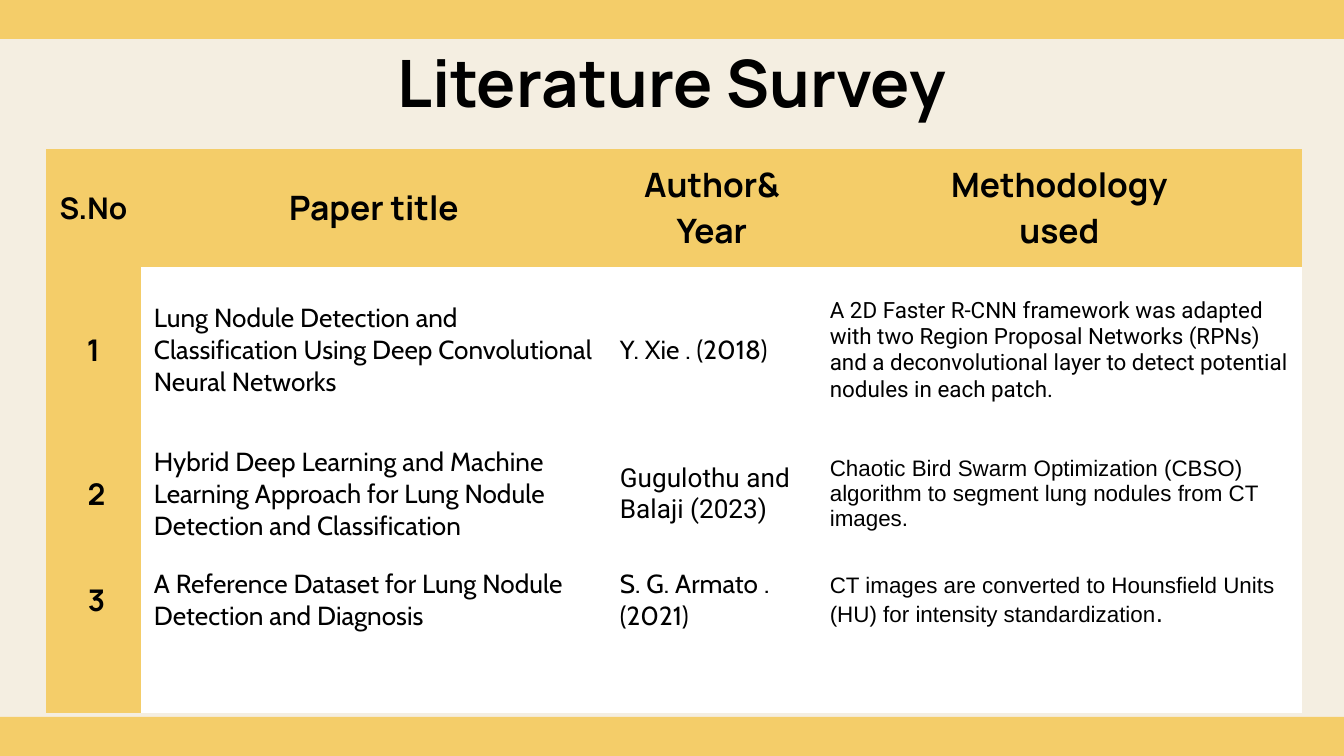
from pptx import Presentation
from pptx import util as u
from pptx.dml.color import RGBColor
from pptx.enum import shapes, text

COLORS = {"gold": "F4CD69", "cream": "F4EEE1", "white": "FFFFFF", "black": "000000"}
FONTS = {"heading": "Manrope", "body": "Cabin", "sans": "Roboto", "plain": "Arial"}
NO_GRID_STYLE = "{2D5ABB26-0587-4C30-8999-92F81FD0307C}"
MARGIN = 13


def px(length):
    return u.Emu(round(length * 914400 / 134.4))


def color(name):
    return RGBColor.from_string(COLORS[name])


def write_text(paragraph, words, font="body", size=14, bold=False, align=text.PP_ALIGN.LEFT):
    paragraph.alignment = align
    run = paragraph.add_run()
    run.text = words
    run.font.name = FONTS[font]
    run.font.size = u.Pt(size)
    run.font.bold = bold
    run.font.color.rgb = color("black")


class SlideBuilder:
    heading = {"font": "heading", "bold": True, "align": text.PP_ALIGN.CENTER}

    def __init__(self, presentation):
        self.slide = presentation.slides.add_slide(presentation.slide_layouts[5])
        fill = self.slide.background.fill
        fill.solid()
        fill.fore_color.rgb = color("cream")

    def bar(self, left, top, width, height):
        shape = self.slide.shapes.add_shape(
            shapes.MSO_SHAPE.RECTANGLE, px(left), px(top), px(width), px(height))
        shape.shadow.inherit = False
        shape.fill.solid()
        shape.fill.fore_color.rgb = color("gold")
        shape.line.fill.background()

    def title(self, words, left, top, width, height):
        shape = self.slide.shapes.title
        shape.left, shape.top, shape.width, shape.height = map(px, (left, top, width, height))
        frame = shape.text_frame
        frame.word_wrap = True
        frame.auto_size = text.MSO_AUTO_SIZE.NONE
        frame.vertical_anchor = text.MSO_ANCHOR.MIDDLE
        frame.margin_left = frame.margin_right = px(MARGIN)
        frame.margin_top = frame.margin_bottom = px(MARGIN)
        write_text(frame.paragraphs[0], words, size=35, **self.heading)

    def table(self, left, top, widths, heights):
        frame = self.slide.shapes.add_table(
            len(heights), len(widths), px(left), px(top), px(sum(widths)), px(sum(heights)))
        table = frame.table
        table.first_row = table.horz_banding = False
        table._tbl.tblPr[0].text = NO_GRID_STYLE
        for column, width in zip(table.columns, widths):
            column.width = px(width)
        for row, height in zip(table.rows, heights):
            row.height = px(height)
        for row_index, row in enumerate(table.rows):
            for column_index, cell in enumerate(row.cells):
                is_header = row_index == 0 or column_index == 0
                cell.fill.solid()
                cell.fill.fore_color.rgb = color("gold" if is_header else "white")
                cell.vertical_anchor = text.MSO_ANCHOR.MIDDLE
                cell.margin_left = cell.margin_right = px(MARGIN)
                cell.margin_top = cell.margin_bottom = px(MARGIN)
        return table

    def cell_text(self, cell, lines, **style):
        frame = cell.text_frame
        for index, line in enumerate(lines):
            paragraph = frame.add_paragraph() if index else frame.paragraphs[0]
            write_text(paragraph, line, **style)


HEADERS = [
    (["S.No"], 16),
    (["Paper title"], 18),
    (["Author&", "Year"], 18),
    (["Methodology", "used"], 18),
]
PAPERS = [
    ("1",
     "Lung Nodule Detection and Classification Using Deep Convolutional Neural Networks",
     "Y. Xie . (2018)", "body",
     "A 2D Faster R-CNN framework was adapted with two Region Proposal Networks (RPNs) "
     "and a deconvolutional layer to detect potential nodules in each patch.", "sans"),
    (" 2",
     "Hybrid Deep Learning and Machine Learning Approach for Lung Nodule "
     "Detection and Classification",
     "Gugulothu and Balaji (2023)", "sans",
     "Chaotic Bird Swarm Optimization (CBSO) algorithm to segment lung nodules "
     "from CT images.", "plain"),
    (" 3",
     "A Reference Dataset for Lung Nodule Detection and Diagnosis",
     "S. G. Armato . (2021)", "body",
     "CT images are converted to Hounsfield Units (HU) for intensity standardization",
     "plain"),
]


def main():
    presentation = Presentation()
    presentation.slide_width = px(1344)
    presentation.slide_height = px(756)

    builder = SlideBuilder(presentation)
    for top in (0, 717):
        builder.bar(0, top, 1344, 39)
    builder.title("Literature Survey", 106, 31, 1132, 100)

    table = builder.table(46, 149, [95, 466, 210, 485], [118, 166, 122, 91, 67])
    for column, (lines, size) in enumerate(HEADERS):
        builder.cell_text(table.cell(0, column), lines, size=size, **builder.heading)
    for row, (number, title, author, author_font, method, method_font) in enumerate(PAPERS, 1):
        builder.cell_text(table.cell(row, 0), [number], size=16, **builder.heading)
        builder.cell_text(table.cell(row, 1), [title])
        builder.cell_text(table.cell(row, 2), [author], font=author_font)
        builder.cell_text(table.cell(row, 3), [method], font=method_font, size=12)
    last_method = table.cell(len(PAPERS), 3).text_frame.paragraphs[0]
    write_text(last_method, ".", font="plain")

    presentation.save("out.pptx")


if __name__ == "__main__":
    main()
